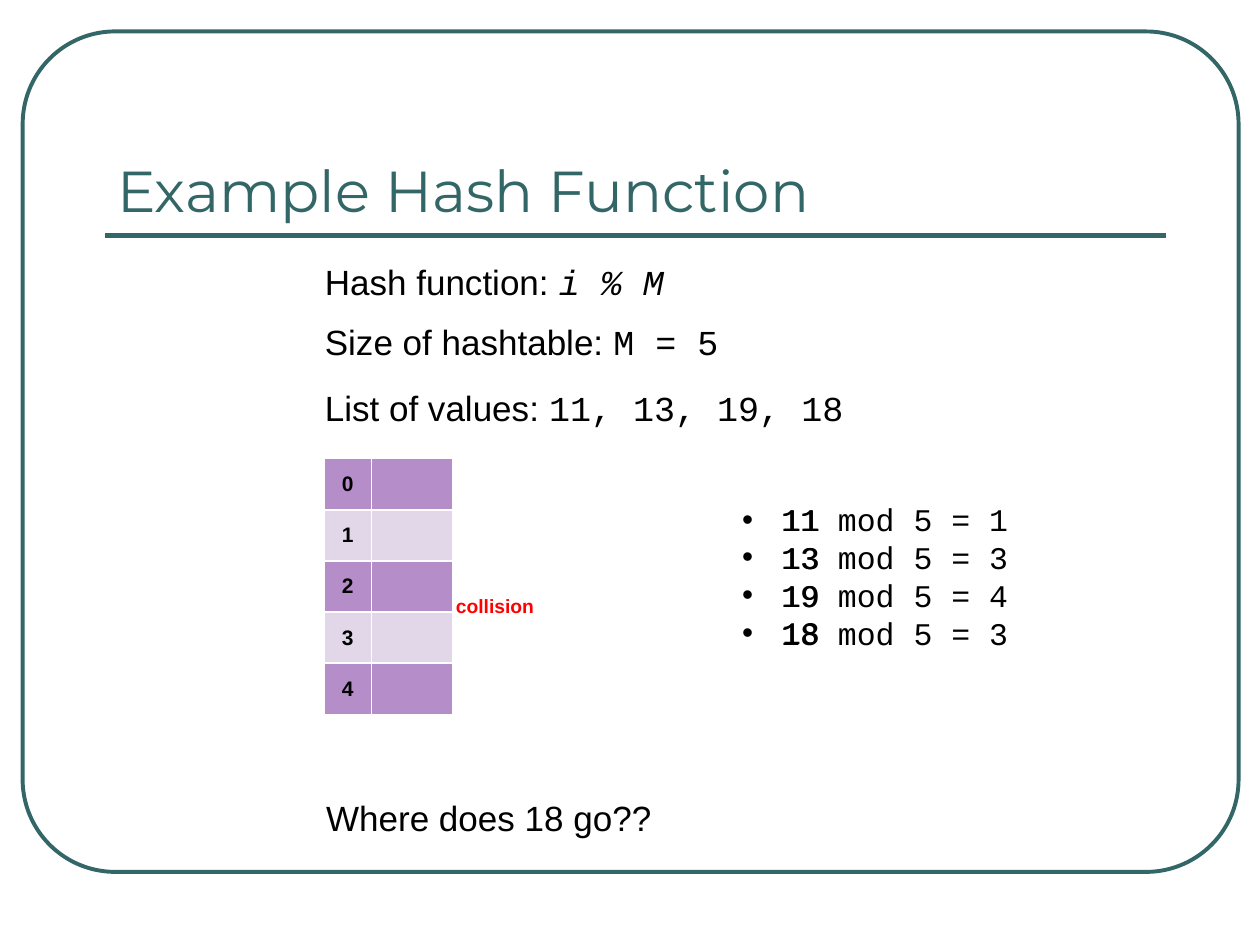
from dataclasses import dataclass

from lxml import etree
from pptx import Presentation
from pptx import util as u
from pptx.dml.color import RGBColor
from pptx.enum import shapes, text
from pptx.oxml.ns import qn


@dataclass(frozen=True)
class Theme:
    accent: str = "336666"
    ink: str = "000000"
    alert: str = "FF0000"
    border: str = "FFFFFF"
    bands: tuple = ("B58EC9", "E1D7E8")
    heading: str = "Montserrat"
    sans: str = "Arial"
    mono: str = "Courier New"
    title_size: int = 33
    body_size: int = 20
    list_size: int = 18
    cell_size: int = 12
    label_size: int = 11


THEME = Theme()


def color(value):
    return RGBColor.from_string(value)


def place(shape, left, top, width, height):
    shape.left, shape.top = u.Inches(left), u.Inches(top)
    shape.width, shape.height = u.Inches(width), u.Inches(height)


def add_run(paragraph, content, size=THEME.body_size, font=THEME.sans,
            fill=THEME.ink, bold=False, italic=False):
    run = paragraph.add_run()
    run.text = content
    run.font.size, run.font.name = u.Pt(size), font
    run.font.bold, run.font.italic = bold, italic
    run.font.color.rgb = color(fill)


def add_text(slide, box, lines, wrap=True, **style):
    shape = slide.shapes.add_textbox(*map(u.Inches, box))
    frame = shape.text_frame
    frame.word_wrap = wrap
    for index, line in enumerate(lines):
        paragraph = frame.paragraphs[0] if index == 0 else frame.add_paragraph()
        paragraph.space_before = u.Pt(10 if index else 0)
        for content, changes in line:
            add_run(paragraph, content, **{**style, **changes})


def add_frame(slide):
    frame = slide.shapes.add_shape(
        shapes.MSO_SHAPE.ROUNDED_RECTANGLE,
        *map(u.Inches, (0.18, 0.25, 9.65, 6.67)))
    frame.adjustments[0] = 0.11
    frame.shadow.inherit = False
    frame.fill.background()
    frame.line.color.rgb = color(THEME.accent)
    frame.line.width = u.Pt(2.25)


def add_rule(slide):
    rule = slide.shapes.add_connector(
        shapes.MSO_CONNECTOR.STRAIGHT,
        *map(u.Inches, (0.83, 1.87, 9.25, 1.87)))
    rule.line.color.rgb = color(THEME.accent)
    rule.line.width = u.Pt(3)
    etree.SubElement(rule._element.spPr, qn("a:effectLst"))


def set_title(slide, content):
    title = slide.shapes.title
    place(title, 0.83, 0.58, 8.42, 1.25)
    frame = title.text_frame
    frame.auto_size = text.MSO_AUTO_SIZE.NONE
    frame.vertical_anchor = text.MSO_ANCHOR.BOTTOM
    paragraph = frame.paragraphs[0]
    paragraph.alignment = text.PP_ALIGN.LEFT
    add_run(paragraph, content, size=THEME.title_size, font=THEME.heading,
            fill=THEME.accent)


def set_list(slide, items):
    body = slide.placeholders[1]
    place(body, 5.79, 3.92, 2.33, 1.62)
    frame = body.text_frame
    frame.auto_size = text.MSO_AUTO_SIZE.NONE
    frame.word_wrap = False
    for index, item in enumerate(items):
        paragraph = frame.paragraphs[0] if index == 0 else frame.add_paragraph()
        paragraph.space_before = u.Pt(0)
        properties = paragraph._p.get_or_add_pPr()
        properties.set("marL", str(u.Inches(0.31)))
        properties.set("indent", str(-u.Inches(0.31)))
        etree.SubElement(properties, qn("a:buFont"), typeface=THEME.sans)
        etree.SubElement(properties, qn("a:buChar"), char="•")
        add_run(paragraph, item, size=THEME.list_size, font=THEME.mono)


def set_borders(cell):
    properties = cell._tc.get_or_add_tcPr()
    for position, side in enumerate(("lnL", "lnR", "lnT", "lnB")):
        line = etree.Element(qn("a:" + side), w=str(u.Pt(1)))
        fill = etree.SubElement(line, qn("a:solidFill"))
        etree.SubElement(fill, qn("a:srgbClr"), val=THEME.border)
        properties.insert(position, line)


def add_column(slide, left, width, values):
    row_height = u.Inches(0.406)
    table = slide.shapes.add_table(
        len(values), 1, u.Inches(left), u.Inches(3.64), u.Inches(width),
        row_height * len(values)).table
    table.first_row = table.horz_banding = False
    for index, value in enumerate(values):
        table.rows[index].height = row_height
        cell = table.cell(index, 0)
        cell.fill.solid()
        cell.fill.fore_color.rgb = color(THEME.bands[index % 2])
        cell.vertical_anchor = text.MSO_ANCHOR.MIDDLE
        set_borders(cell)
        if value:
            paragraph = cell.text_frame.paragraphs[0]
            paragraph.alignment = text.PP_ALIGN.CENTER
            add_run(paragraph, value, size=THEME.cell_size, bold=True)


def main():
    presentation = Presentation()
    presentation.slide_width, presentation.slide_height = u.Inches(10), u.Inches(7.5)
    slide = presentation.slides.add_slide(presentation.slide_layouts[1])
    add_frame(slide)
    add_rule(slide)
    set_title(slide, "Example Hash Function")

    code = {"font": THEME.mono}
    keys, buckets = (11, 13, 19, 18), 5
    add_text(slide, (2.48, 2.02, 4.83, 1.43), [
        [("Hash function: ", {}), ("i % M", {**code, "italic": True})],
        [("Size of hashtable: ", {}), (f"M = {buckets}", code)],
    ])
    add_text(slide, (2.48, 3.02, 5.98, 0.44), [
        [("List of values: ", {}), (", ".join(map(str, keys)), code)],
    ])
    add_text(slide, (2.49, 6.27, 5.83, 0.43), [[("Where does 18 go??", {})]])

    add_column(slide, 2.95, 0.64, [""] * buckets)
    add_column(slide, 2.57, 0.38, [str(index) for index in range(buckets)])

    set_list(slide, [f"{key} mod {buckets} = {key % buckets}" for key in keys])
    for index, key in enumerate(keys):
        add_text(slide, (6.11, 3.92 + 0.3 * index, 0.5, 0.4), [[(str(key), code)]],
                 wrap=False, size=THEME.list_size)
    add_text(slide, (3.52, 4.67, 0.83, 0.29), [[("collision", {})]], wrap=False,
             size=THEME.label_size, fill=THEME.alert, bold=True)
    presentation.save("out.pptx")


if __name__ == "__main__":
    main()
